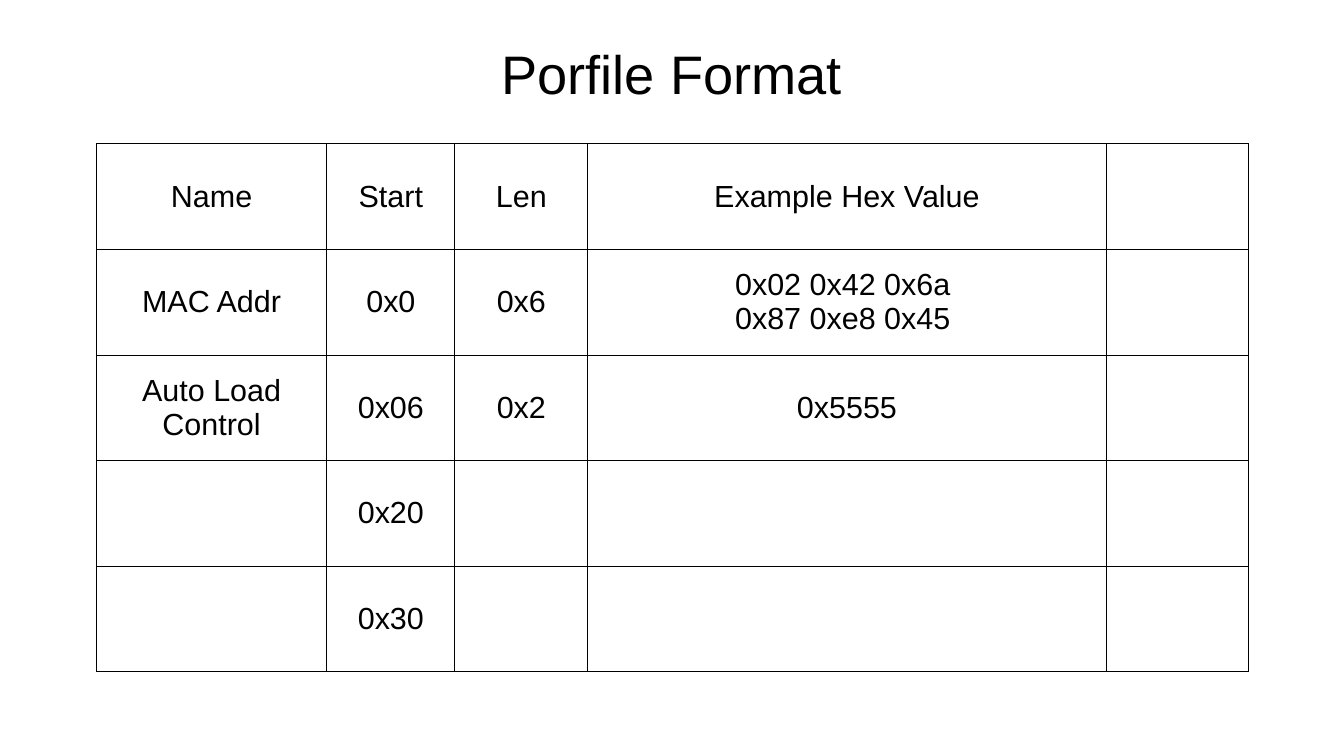
"""Builds a slide with a table of the profile format."""
import pptx
import pptx.util
import pptx.dml.color
import pptx.enum.text
import pptx.oxml
import pptx.oxml.ns

Inches = pptx.util.Inches
COLORS = {"text": "000000", "line": "000000", "back": "FFFFFF"}
FONT = "Arial"
WIDTHS = [1.89, 1.05, 1.09, 4.25, 1.17]
ROWS = [
    ["Name", "Start", "Len", "Example Hex Value", ""],
    ["MAC Addr", "0x0", "0x6", "0x02 0x42 0x6a \n0x87 0xe8 0x45 ", ""],
    ["Auto Load Control", "0x06", "0x2", "0x5555", ""],
    ["", "0x20", "", "", ""],
    ["", "0x30", "", "", ""],
]


def color(name):
    return pptx.dml.color.RGBColor.from_string(COLORS[name])


def style(frame, size):
    for para in frame.paragraphs:
        para.alignment = pptx.enum.text.PP_ALIGN.CENTER
        para.font.size = pptx.util.Pt(size)
        para.font.name = FONT
        para.font.color.rgb = color("text")


def border(cell):
    props = cell._tc.get_or_add_tcPr()
    space = pptx.oxml.ns.nsdecls("a")
    width = pptx.util.Pt(0.57)
    for place, side in enumerate("LRTB"):
        line = pptx.oxml.parse_xml(
            f'<a:ln{side} {space} w="{width}"><a:solidFill>'
            f'<a:srgbClr val="{COLORS["line"]}"/></a:solidFill></a:ln{side}>')
        props.insert(place, line)


def add_title(slide, text):
    title = slide.shapes.title
    title.left, title.top = Inches(0.55), Inches(0.21)
    title.width, title.height = Inches(9.92), Inches(0.78)
    frame = title.text_frame
    frame.margin_left = frame.margin_right = 0
    frame.margin_top = frame.margin_bottom = 0
    frame.vertical_anchor = pptx.enum.text.MSO_ANCHOR.MIDDLE
    frame.text = text
    style(frame, 32)


def add_grid(slide, rows, widths):
    table = slide.shapes.add_table(
        len(rows), len(widths), Inches(0.79), Inches(1.18),
        Inches(sum(widths)), Inches(4.33)).table
    table.first_row = table.horz_banding = False
    for column, width in zip(table.columns, widths):
        column.width = Inches(width)
    for row, texts in zip(table.rows, rows):
        for cell, text in zip(row.cells, texts):
            cell.text = text
            cell.vertical_anchor = pptx.enum.text.MSO_ANCHOR.MIDDLE
            cell.fill.solid()
            cell.fill.fore_color.rgb = color("back")
            style(cell.text_frame, 18)
            border(cell)


def main():
    deck = pptx.Presentation()
    deck.slide_width, deck.slide_height = Inches(11.02), Inches(6.2)
    slide = deck.slides.add_slide(deck.slide_layouts[5])
    add_title(slide, "Porfile Format")
    add_grid(slide, ROWS, WIDTHS)
    deck.save("out.pptx")


if __name__ == "__main__":
    main()
